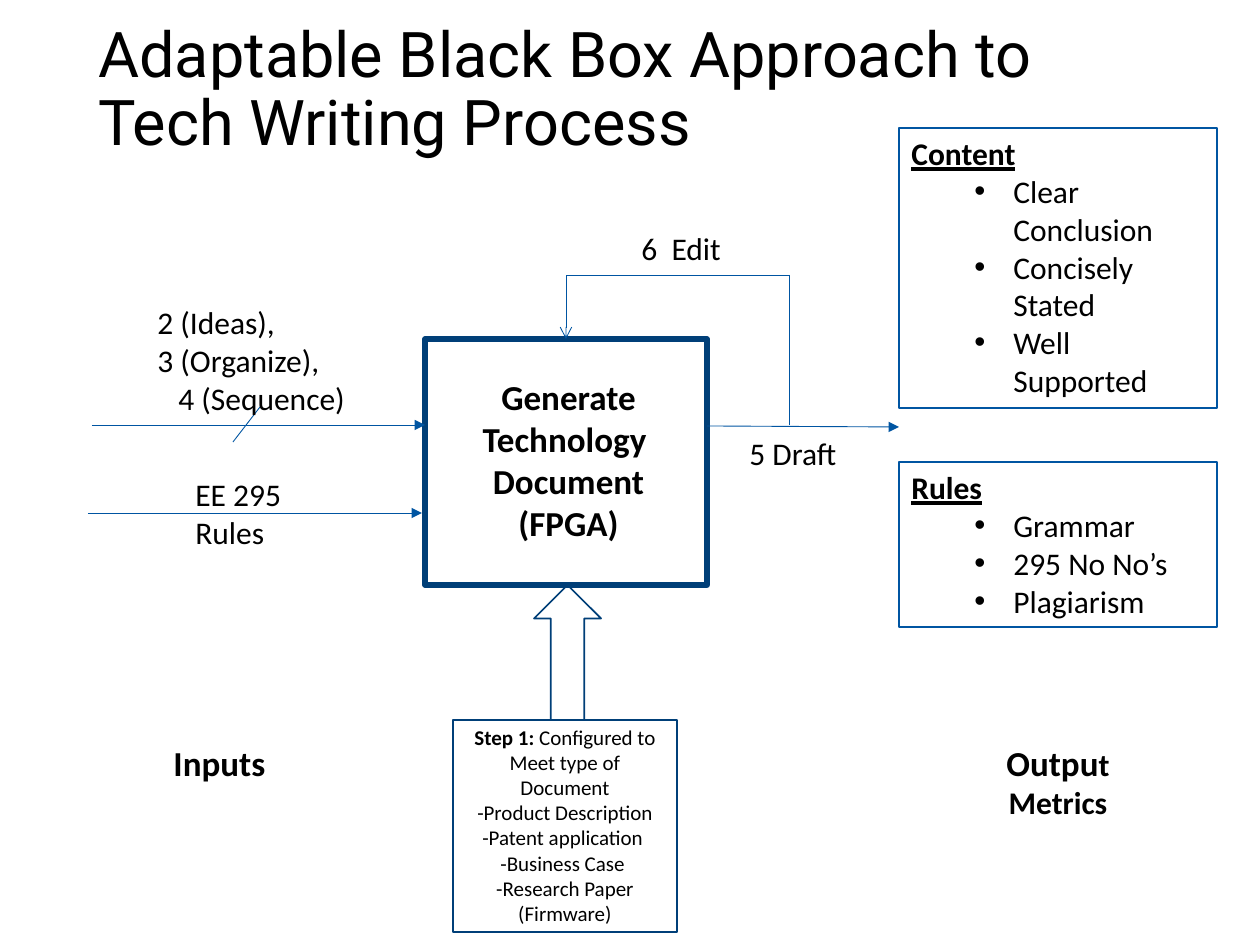
from lxml.etree import SubElement
from pptx import Presentation
from pptx.dml.color import RGBColor
from pptx.enum.shapes import MSO_CONNECTOR as CONNECTOR, MSO_SHAPE as SHAPE
from pptx.enum.text import MSO_ANCHOR as ANCHOR, PP_ALIGN as ALIGN
from pptx.oxml.ns import qn
from pptx.util import Pt

BLACK = RGBColor(0x00, 0x00, 0x00)
NAVY = RGBColor(0x00, 0x3F, 0x78)
BLUE = RGBColor(0x00, 0x55, 0xA2)
PX = 914400 / 126

TITLE = "Adaptable Black Box Approach to Tech Writing Process"
BIG = {"size": 20, "bold": True}
HEADING = {"bold": True, "underline": True}
BULLET = {"bullet": "•", "margin": 102, "indent": -39}

LABELS = [
    ((57, 735, 325, 55), ["Inputs"], {**BIG, "align": ALIGN.CENTER}),
    ((898, 735, 320, 93), [[("Outpu", BIG), ("t", {})], "Metrics"],
     {"bold": True, "align": ALIGN.CENTER}),
    ((145, 297, 215, 127), ["2 (Ideas),", "3 (Organize),", ("4 (Sequence)", {"margin": 21})], {}),
    ((629, 223, 123, 50), ["6  Edit"], {}),
    ((737, 428, 137, 50), ["5 Draft"], {}),
    ((183, 469, 165, 89), ["EE 295 Rules"], {}),
    ((440, 369, 257, 183), ["Generate Technology ", "Document", "(FPGA)"],
     {**BIG, "align": ALIGN.CENTER}),
    ((453, 718, 224, 217),
     [[("Step 1:", {"bold": True}), (" Configured to Meet type of Document", {})],
      "-Product Description", "-Patent application ", "-Business Case ",
      "-Research Paper", "(Firmware)"],
     {"size": 12, "align": ALIGN.CENTER}),
]
METRICS = [
    ((899, 128, 318, 280), "Content", ["Clear Conclusion", "Concisely Stated", "Well Supported"]),
    ((899, 462, 318, 165), "Rules", ["Grammar", "295 No No’s", "Plagiarism"]),
]
OUTLINES = [
    (SHAPE.RECTANGLE, (425, 339, 282, 246), 3),
    (SHAPE.UP_ARROW, (534, 585, 67, 135), 1),
    (SHAPE.RECTANGLE, (453, 720, 224, 212), 1),
]
LINES = [
    ((92, 425), (425, 425), "triangle"),
    ((260, 407), (233, 442), None),
    ((707, 426), (899, 427), "triangle"),
    ((789, 275), (789, 425), None),
    ((88, 513), (422, 513), "triangle"),
]
FEEDBACK = ((789, 275), (566, 339), "arrow")


def emu(*lengths):
    return [round(length * PX) for length in lengths]


def write(shape, paragraphs, size=18, bold=False, align=ALIGN.LEFT, anchor=ANCHOR.TOP,
          font="Calibri", spacing=None):
    frame = shape.text_frame
    frame.word_wrap = True
    frame.vertical_anchor = anchor
    for number, content in enumerate(paragraphs):
        paragraph = frame.add_paragraph() if number else frame.paragraphs[0]
        content, layout = content if isinstance(content, tuple) else (content, {})
        properties = paragraph._p.get_or_add_pPr()
        if "margin" in layout:
            margin, indent = emu(layout["margin"], layout.get("indent", 0))
            properties.set("marL", str(margin))
            properties.set("indent", str(indent))
        if "bullet" in layout:
            SubElement(properties, qn("a:buFont"), typeface="Arial")
            SubElement(properties, qn("a:buChar"), char=layout["bullet"])
        paragraph.alignment = align
        if spacing:
            paragraph.line_spacing = spacing
        runs = [(content, {})] if isinstance(content, str) else content
        for text, style in runs:
            run = paragraph.add_run()
            run.text = text
            run.font.name = font
            run.font.size = Pt(style.get("size", size))
            run.font.bold = style.get("bold", bold)
            run.font.underline = style.get("underline", False)
            run.font.color.rgb = BLACK


def add_outline(slide, kind, box, color, width):
    shape = slide.shapes.add_shape(kind, *emu(*box))
    shape.shadow.inherit = False
    shape.fill.background()
    shape.line.color.rgb = color
    shape.line.width = Pt(width)
    return shape


def add_line(slide, start, end, head, kind=CONNECTOR.STRAIGHT):
    connector = slide.shapes.add_connector(kind, *emu(*start, *end))
    connector.line.color.rgb = BLUE
    connector.line.width = Pt(0.5)
    properties = connector._element.spPr
    if head:
        SubElement(properties.find(qn("a:ln")), qn("a:tailEnd"), type=head)
    SubElement(properties, qn("a:effectLst"))
    return connector


def main():
    presentation = Presentation()
    presentation.slide_width, presentation.slide_height = emu(1260, 945)
    slide = presentation.slides.add_slide(presentation.slide_layouts[6])

    title = slide.shapes.add_textbox(*emu(86, 0, 1086, 183))
    write(title, [TITLE], size=36, font="Roboto", anchor=ANCHOR.MIDDLE, spacing=0.9)
    for kind, box, width in OUTLINES:
        add_outline(slide, kind, box, NAVY, width)
    for line in LINES:
        add_line(slide, *line)
    feedback = add_line(slide, *FEEDBACK, kind=CONNECTOR.ELBOW)
    feedback._element.spPr.find(qn("a:prstGeom")).set("prst", "bentConnector2")
    for box, paragraphs, style in LABELS:
        write(slide.shapes.add_textbox(*emu(*box)), paragraphs, **style)
    for box, heading, items in METRICS:
        panel = add_outline(slide, SHAPE.RECTANGLE, box, BLUE, 0.75)
        write(panel, [[(heading, HEADING)]] + [(item, BULLET) for item in items])

    presentation.save("out.pptx")


if __name__ == "__main__":
    main()
